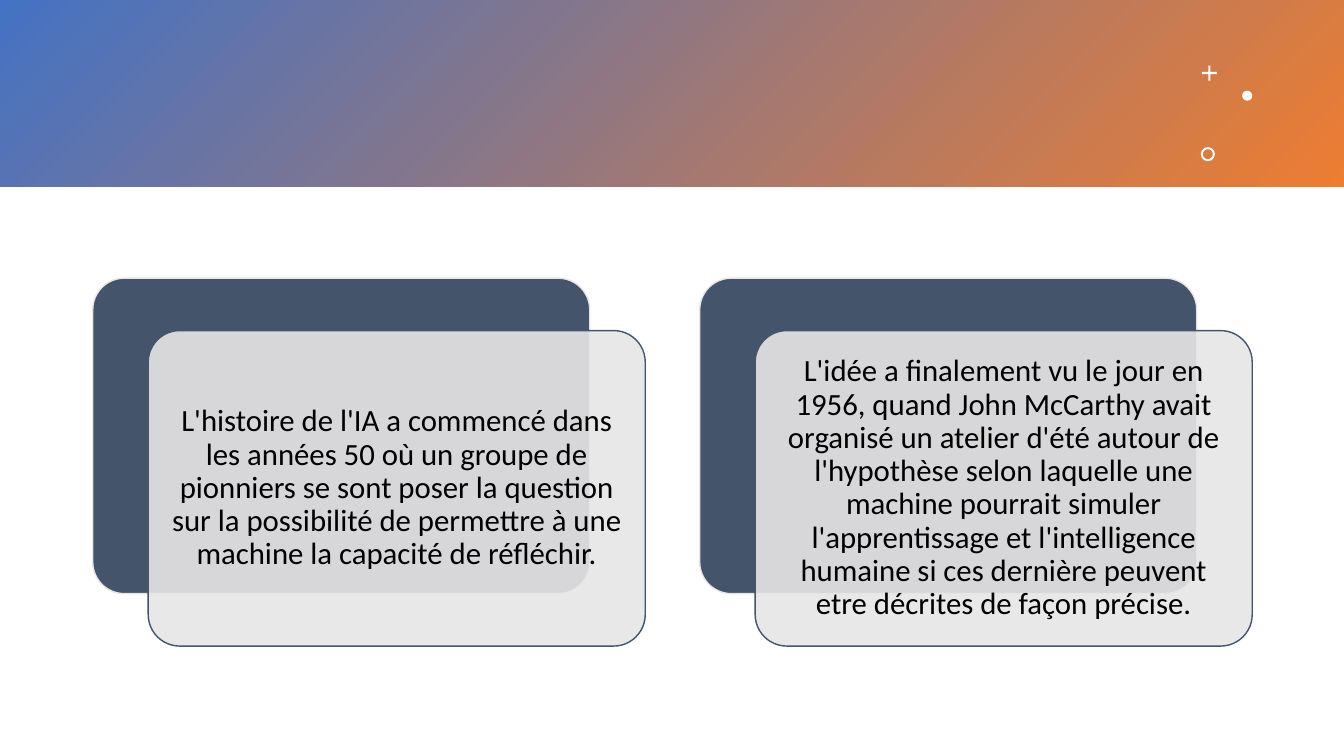
import pptx
import pptx.util
import pptx.dml.color
import pptx.enum.shapes
import pptx.enum.text
import pptx.oxml.ns
import lxml.etree

Inches = pptx.util.Inches
Kind = pptx.enum.shapes.MSO_SHAPE


def rgb(code):
    return pptx.dml.color.RGBColor.from_string(code)


def draw(kind, box, fill, line=None, adj=None):
    shape = slide.shapes.add_shape(kind, *[Inches(n) for n in box])
    shape.shadow.inherit = False
    shape.fill.solid()
    shape.fill.fore_color.rgb = rgb(fill)
    if line:
        shape.line.color.rgb = rgb(line)
        shape.line.width = pptx.util.Pt(1)
    else:
        shape.line.fill.background()
    if adj is not None:
        shape.adjustments[0] = adj
    return shape


deck = pptx.Presentation()
deck.slide_width = Inches(13.33)
deck.slide_height = Inches(7.5)
slide = deck.slides.add_slide(deck.slide_layouts[6])

band = draw(Kind.RECTANGLE, (0, 0, 13.33, 1.85), "4472C4")
band.fill.gradient()
band.fill.gradient_angle = 315
for stop, code in zip(band.fill.gradient_stops, ("4472C4", "ED7D31")):
    stop.color.rgb = rgb(code)
band.fill.gradient_stops[0].position = 0
band.fill.gradient_stops[1].position = 1

draw(Kind.CROSS, (11.92, 0.65, 0.15, 0.15), "FFFFFF", adj=0.43)
draw(Kind.OVAL, (12.32, 0.9, 0.1, 0.1), "FFFFFF")
draw(Kind.DONUT, (11.91, 1.46, 0.14, 0.14), "FFFFFF", adj=0.14)

texts = [
    "L'histoire de l'IA a commencé dans les années 50 où un groupe de "
    "pionniers se sont poser la question sur la possibilité de permettre "
    "à une machine la capacité de réfléchir.",
    "L'idée a finalement vu le jour en 1956, quand John McCarthy "
    "avait organisé un atelier d'été autour de l'hypothèse selon laquelle "
    "une machine pourrait simuler l'apprentissage et l'intelligence humaine "
    "si ces dernière peuvent etre décrites de façon précise.",
]
wide, high = 4.93, 3.13
for i, text in enumerate(texts):
    left = 0.92 + i * 6.02
    draw(Kind.ROUNDED_RECTANGLE, (left, 2.76, wide, high),
         "44546A", "E7E6E6", 0.1)
    card = draw(Kind.ROUNDED_RECTANGLE, (left + 0.55, 3.28, wide, high),
                "E7E6E6", "44546A", 0.1)
    tint = card.fill._xPr.find(".//" + pptx.oxml.ns.qn("a:srgbClr"))
    lxml.etree.SubElement(tint, pptx.oxml.ns.qn("a:alpha"), val="90000")

    frame = card.text_frame
    frame.word_wrap = True
    frame.vertical_anchor = pptx.enum.text.MSO_ANCHOR.MIDDLE
    frame.margin_left = frame.margin_right = Inches(0.09)
    frame.margin_top = frame.margin_bottom = Inches(0.09)
    para = frame.paragraphs[0]
    para.alignment = pptx.enum.text.PP_ALIGN.CENTER
    para.line_spacing = 0.9
    run = para.add_run()
    run.text = text
    run.font.name = "Calibri"
    run.font.size = pptx.util.Pt(22)
    run.font.color.rgb = rgb("000000")

deck.save("out.pptx")
